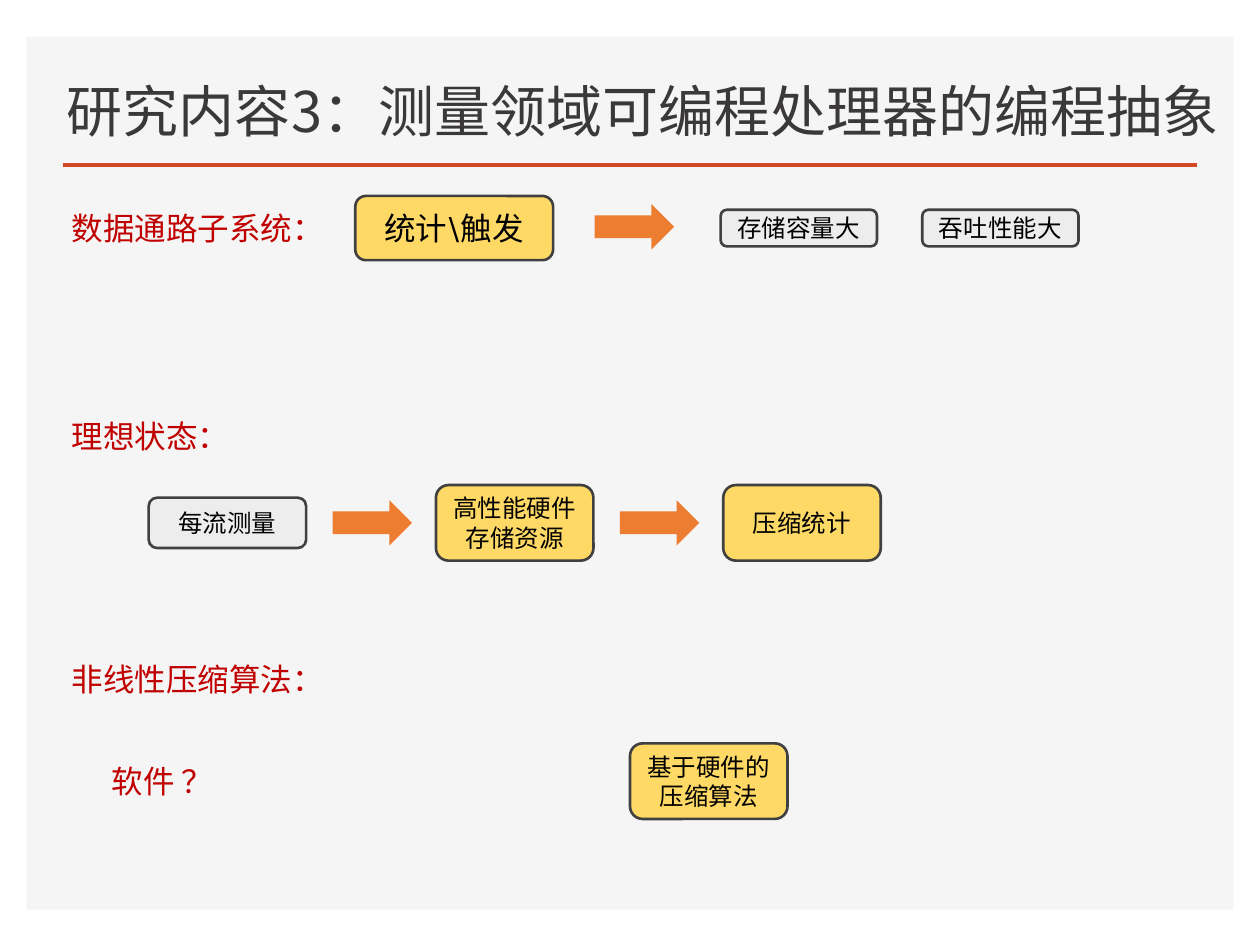
from typing import NamedTuple

from lxml.etree import SubElement
from pptx import Presentation
from pptx.dml.color import RGBColor
from pptx.enum.shapes import MSO_CONNECTOR as Connector, MSO_SHAPE as Shape
from pptx.enum.text import MSO_ANCHOR as Anchor, MSO_AUTO_SIZE as AutoSize, PP_ALIGN as Align
from pptx.oxml.ns import qn
from pptx.util import Inches, Pt

COLORS = {
    "panel": "F5F5F5", "rule": "D24726", "title": "3B3838", "label": "C00000",
    "need": "EDEDED", "module": "FFD966", "border": "404040",
    "arrow": "ED7D31", "text": "000000",
}
LATIN, CJK = "Karla", "Noto Sans CJK SC"

# The slide is a grid of 100 columns by 75 rows
CELL = Inches(0.1)
COLUMNS, ROWS = 100, 75


class Label(NamedTuple):
    text: str
    column: float
    row: float
    width: float
    wraps: bool = False


class Box(NamedTuple):
    text: str
    column: float
    middle: float
    width: float
    height: float
    color: str
    size: int = 14


class Arrow(NamedTuple):
    column: float
    middle: float


DATA_PATH, IDEAL, ALGORITHM = 18.1, 41.5, 62  # middle rows of the three parts
IDEAL_START, IDEAL_STEP, ARROW_OFFSET = 11.8, 22.8, 14.6

LABELS = [
    Label("数据通路子系统：", 4.7, 16.1, 22.2),
    Label("理想状态：", 4.7, 32.6, 14.6),
    Label("非线性压缩算法：", 4.7, 51.9, 22.2),
    Label("软件 ？", 7.9, 60, 13, wraps=True),
]
IDEAL_STEPS = [("每流测量", 4, "need"), ("高性能硬件存储资源", 6, "module"),
               ("压缩统计", 6, "module")]
BOXES = [
    Box("统计\\触发", 28.2, DATA_PATH, 15.7, 5.1, "module", 18),
    Box("存储容量大", 57.2, DATA_PATH, 12.4, 2.9, "need"),
    Box("吞吐性能大", 73.2, DATA_PATH, 12.4, 2.9, "need"),
    *(Box(text, IDEAL_START + i * IDEAL_STEP, IDEAL, 12.5, height, color)
      for i, (text, height, color) in enumerate(IDEAL_STEPS)),
    Box("基于硬件的压缩算法", 50, ALGORITHM, 12.5, 6, "module"),
]
ARROWS = [Arrow(47.2, DATA_PATH - 0.1)] + [
    Arrow(IDEAL_START + ARROW_OFFSET + i * IDEAL_STEP, IDEAL) for i in range(2)]


def cells(*values: float) -> list[int]:
    return [round(value * CELL) for value in values]


def rgb(name: str) -> RGBColor:
    return RGBColor.from_string(COLORS[name])


def write(shape, text: str, size: int, color: str, latin: str = LATIN) -> None:
    shape.text_frame.text = text
    font = shape.text_frame.paragraphs[0].runs[0].font
    font.size, font.name = Pt(size), latin
    font.color.rgb = rgb(color)
    east_asian = SubElement(font._element, qn("a:ea"))
    east_asian.set("typeface", CJK)


def add_filled(slide, kind: Shape, place: list[int], color: str):
    shape = slide.shapes.add_shape(kind, *place)
    shape.shadow.inherit = False
    shape.fill.solid()
    shape.fill.fore_color.rgb = rgb(color)
    shape.line.fill.background()
    return shape


def add_label(slide, label: Label) -> None:
    shape = slide.shapes.add_textbox(*cells(label.column, label.row, label.width, 4))
    write(shape, label.text, 18, "label")
    shape.text_frame.word_wrap = label.wraps
    shape.text_frame.auto_size = AutoSize.SHAPE_TO_FIT_TEXT


def add_box(slide, box: Box) -> None:
    place = cells(box.column, box.middle - box.height / 2, box.width, box.height)
    shape = add_filled(slide, Shape.ROUNDED_RECTANGLE, place, box.color)
    shape.line.color.rgb = rgb("border")
    shape.line.width = Pt(1.5)
    write(shape, box.text, box.size, "text")
    shape.text_frame.word_wrap = True
    shape.text_frame.vertical_anchor = Anchor.MIDDLE
    shape.text_frame.paragraphs[0].alignment = Align.CENTER


def add_arrow(slide, arrow: Arrow) -> None:
    place = cells(arrow.column, arrow.middle - 1.8, 6.3, 3.6)
    add_filled(slide, Shape.RIGHT_ARROW, place, "arrow")


def add_rule(slide) -> None:
    rule = slide.shapes.add_connector(Connector.STRAIGHT, *cells(5, 13.1, COLUMNS - 5, 13.1))
    rule.line.color.rgb = rgb("rule")
    rule.line.width = Pt(2)
    SubElement(rule._element.spPr, qn("a:effectLst"))


def set_title(slide, text: str) -> None:
    title = slide.shapes.title
    title.left, title.top, title.width, title.height = cells(4.3, 4.9, 94.5, 7)
    write(title, text, 32, "title", CJK)
    frame = title.text_frame
    frame.auto_size = AutoSize.NONE
    frame.word_wrap = True
    frame.vertical_anchor = Anchor.BOTTOM
    frame.paragraphs[0].alignment = Align.LEFT
    frame.paragraphs[0].line_spacing = 0.82
    # Bring the title in front of the panel
    slide.shapes._spTree.append(title._element)


def main() -> None:
    deck = Presentation()
    deck.slide_width, deck.slide_height = cells(COLUMNS, ROWS)
    slide = deck.slides.add_slide(deck.slide_layouts[5])

    # Background panel, heading and rule
    add_filled(slide, Shape.RECTANGLE, cells(2.1, 2.9, COLUMNS - 4.2, 69.3), "panel")
    add_rule(slide)
    set_title(slide, "研究内容3：测量领域可编程处理器的编程抽象")

    # Three parts: data path, ideal state, compression algorithm
    for label in LABELS:
        add_label(slide, label)
    for box in BOXES:
        add_box(slide, box)
    for arrow in ARROWS:
        add_arrow(slide, arrow)

    deck.save("out.pptx")


if __name__ == "__main__":
    main()
